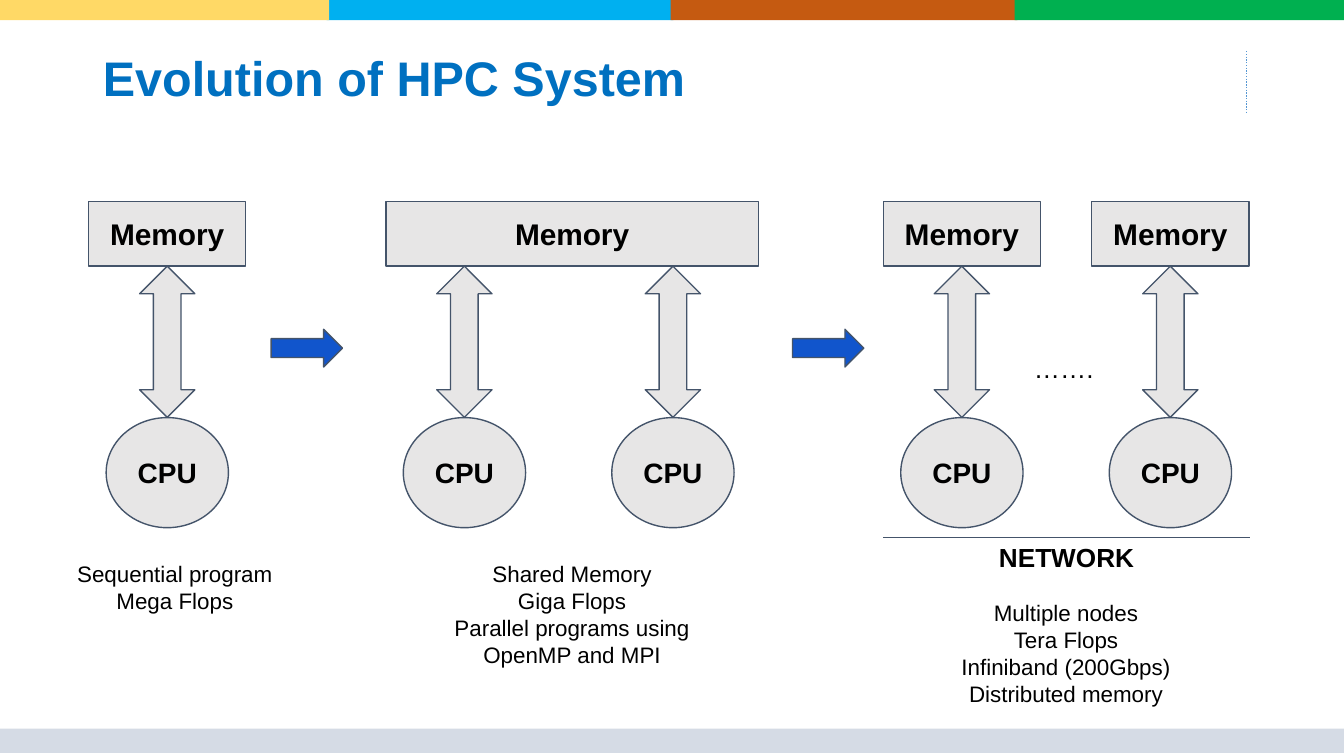
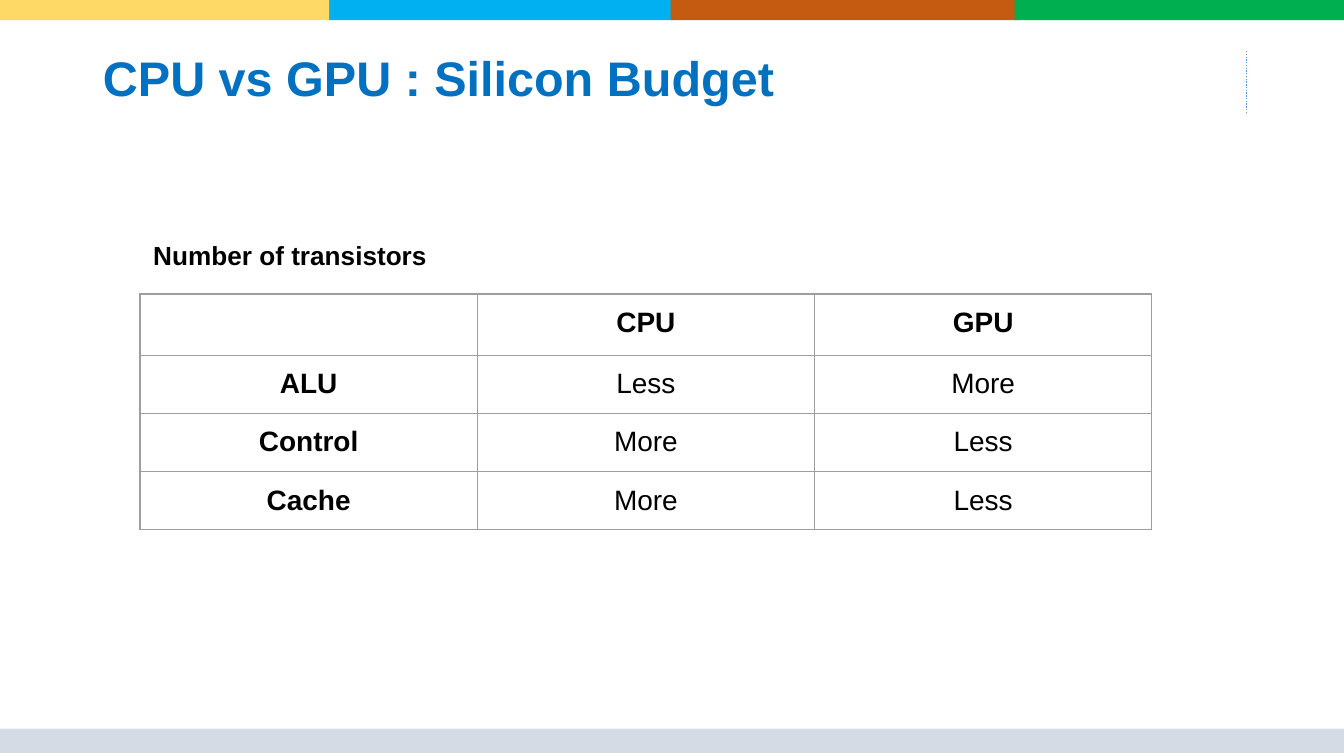
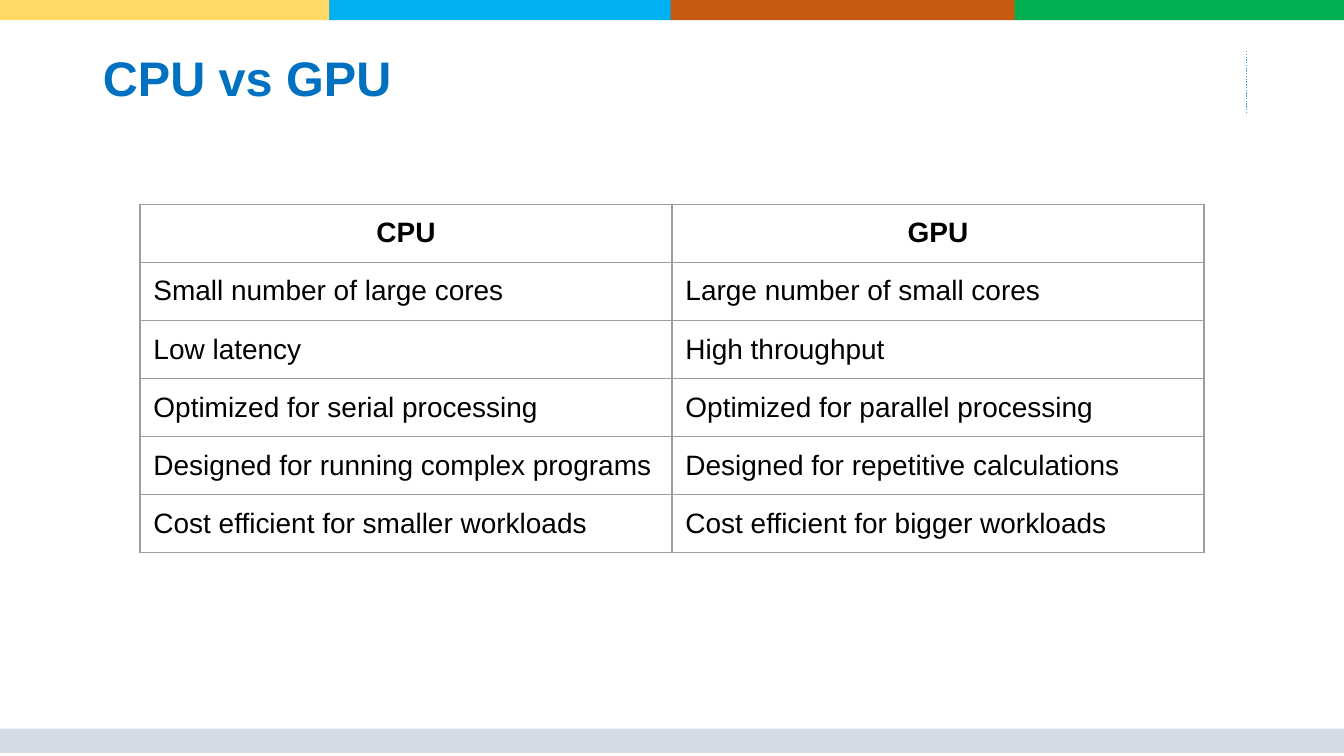
from lxml import etree
from pptx import Presentation
from pptx.dml.color import RGBColor
from pptx.enum.dml import MSO_LINE
from pptx.enum.shapes import MSO_CONNECTOR, MSO_SHAPE, PP_PLACEHOLDER
from pptx.enum.text import MSO_ANCHOR, MSO_AUTO_SIZE, PP_ALIGN
from pptx.oxml.ns import qn
from pptx.util import Pt

RECTANGLE = MSO_SHAPE.RECTANGLE
ELLIPSE = MSO_SHAPE.OVAL
UP_DOWN_ARROW = MSO_SHAPE.UP_DOWN_ARROW
RIGHT_ARROW = MSO_SHAPE.RIGHT_ARROW
STRAIGHT = MSO_CONNECTOR.STRAIGHT
DOTTED = MSO_LINE.ROUND_DOT
TITLE = PP_PLACEHOLDER.TITLE
LEFT, CENTER = PP_ALIGN.LEFT, PP_ALIGN.CENTER
TOP, MIDDLE = MSO_ANCHOR.TOP, MSO_ANCHOR.MIDDLE
NO_AUTOFIT = MSO_AUTO_SIZE.NONE
GROW_TO_TEXT = MSO_AUTO_SIZE.SHAPE_TO_FIT_TEXT

FONT = "Arial"
BLACK = "000000"
TITLE_BLUE = "0070C0"
BOX_GREY = "E7E6E6"
OUTLINE = "44546A"
STEP_BLUE = "1155CC"
FOOTER_GREY = "D5DBE5"
DIVIDER_BLUE = "5597D3"
TABLE_GREY = "9E9E9E"

LINE_WIDTH = 0.75
INSET = 7.2

# left, width, colour
TOP_BANDS = [
    (175, 185.8, "00B0F0"),
    (359.3, 185.8, "C55A11"),
    (543.6, 176.4, "00B050"),
    (0, 176.4, "FFD966"),
]

MEMORY_TOP, MEMORY_WIDTH, MEMORY_HEIGHT = 108, 84.2, 34.6
BUS_TOP, BUS_WIDTH, BUS_HEIGHT = 142.6, 29.6, 81
CPU_TOP, CPU_WIDTH, CPU_HEIGHT = 223.7, 65.5, 59
PAIR_GAP = 111.7
SEQUENTIAL_CENTER, SHARED_CENTER, CLUSTER_CENTER = 89.6, 248.8, 515.3


def color(hex_string):
    return RGBColor.from_string(hex_string)


def format_text(text_frame, size, bold=False, font_color=BLACK, align=LEFT):
    for paragraph in text_frame.paragraphs:
        paragraph.alignment = align
        for run in paragraph.runs:
            run.font.name = FONT
            run.font.size = Pt(size)
            run.font.bold = bold
            run.font.color.rgb = color(font_color)


def set_frame(text_frame, anchor, horizontal=INSET, vertical=INSET):
    """Set the anchor and the insets of a text frame."""
    text_frame.vertical_anchor = anchor
    text_frame.margin_left = text_frame.margin_right = Pt(horizontal)
    text_frame.margin_top = text_frame.margin_bottom = Pt(vertical)


def add_shape(slide, kind, left, top, width, height, fill, outline=None):
    shape = slide.shapes.add_shape(kind, Pt(left), Pt(top), Pt(width), Pt(height))
    shape.shadow.inherit = False
    shape.fill.solid()
    shape.fill.fore_color.rgb = color(fill)
    if outline:
        shape.line.color.rgb = color(outline)
        shape.line.width = Pt(LINE_WIDTH)
    else:
        shape.line.fill.background()
    return shape


def add_labelled_shape(slide, kind, left, top, width, height, label, size):
    shape = add_shape(slide, kind, left, top, width, height, BOX_GREY, OUTLINE)
    text_frame = shape.text_frame
    text_frame.text = label
    text_frame.word_wrap = False
    set_frame(text_frame, MIDDLE)
    format_text(text_frame, size, bold=True, align=CENTER)


def add_line(slide, start_x, start_y, end_x, end_y, line_color):
    line = slide.shapes.add_connector(
        STRAIGHT, Pt(start_x), Pt(start_y), Pt(end_x), Pt(end_y))
    line.line.color.rgb = color(line_color)
    line.line.width = Pt(LINE_WIDTH)
    etree.SubElement(line.element.spPr, qn("a:effectLst"))
    return line


def add_text(slide, left, top, width, height, text, size, bold=False, align=LEFT):
    text_box = slide.shapes.add_textbox(Pt(left), Pt(top), Pt(width), Pt(height))
    text_frame = text_box.text_frame
    text_frame.text = text
    text_frame.word_wrap = True
    text_frame.auto_size = GROW_TO_TEXT
    set_frame(text_frame, TOP)
    format_text(text_frame, size, bold, align=align)


def set_cell_borders(cell):
    properties = cell._tc.get_or_add_tcPr()
    for side in ("a:lnL", "a:lnR", "a:lnT", "a:lnB"):
        border = etree.SubElement(properties, qn(side), w=str(Pt(LINE_WIDTH)))
        fill = etree.SubElement(border, qn("a:solidFill"))
        etree.SubElement(fill, qn("a:srgbClr"), val=TABLE_GREY)


def add_table(slide, left, top, column_width, rows, bold_first_column, body_align):
    row_height, size = 30.2, 15
    row_count, column_count = len(rows), len(rows[0])
    table = slide.shapes.add_table(
        row_count, column_count, Pt(left), Pt(top),
        Pt(column_width * column_count), Pt(row_height * row_count)).table
    table.first_row = table.horz_banding = False
    for row_index, row in enumerate(rows):
        for column_index, text in enumerate(row):
            cell = table.cell(row_index, column_index)
            cell.text = text
            cell.margin_left = cell.margin_right = Pt(INSET)
            cell.margin_top = cell.margin_bottom = Pt(INSET)
            header = row_index == 0
            bold = header or (bold_first_column and column_index == 0)
            format_text(cell.text_frame, size, bold,
                        align=CENTER if header else body_align)
            if not text:
                # An empty cell keeps the row height through its end mark.
                paragraph = cell.text_frame.paragraphs[0]
                etree.SubElement(paragraph._p, qn("a:endParaRPr"), sz=str(size * 100))
            set_cell_borders(cell)
            cell.fill.background()


def add_titled_slide(presentation, layout, title_text):
    slide = presentation.slides.add_slide(layout)
    title = slide.shapes.title
    title.left, title.top = Pt(49.7), Pt(25.2)
    title.width, title.height = Pt(607.7), Pt(36)
    text_frame = title.text_frame
    text_frame.text = title_text
    text_frame.auto_size = NO_AUTOFIT
    set_frame(text_frame, MIDDLE, 5.4, 2.7)
    text_frame.paragraphs[0].line_spacing = 0.9
    format_text(text_frame, 26, True, TITLE_BLUE)
    return slide


def prepare_layout(layout):
    """Keep only the title placeholder."""
    for placeholder in list(layout.placeholders):
        if placeholder.placeholder_format.type != TITLE:
            placeholder.element.getparent().remove(placeholder.element)


def add_shared_parts(slide, layout):
    """Draw the bands and divider, then move them behind the layout's title."""
    parts = [add_shape(slide, RECTANGLE, left, -1.4, width, 12.2, fill)
             for left, width, fill in TOP_BANDS]
    parts.append(add_shape(slide, RECTANGLE, 0, 390.4, 720, 13, FOOTER_GREY))
    divider = add_line(slide, 667.7, 27.4, 667.7, 60.8, DIVIDER_BLUE)
    divider.line.dash_style = DOTTED
    parts.append(divider)
    for position, part in enumerate(parts, start=2):
        layout.shapes.element.insert(position, part.element)


def add_memory(slide, center, width=MEMORY_WIDTH):
    add_labelled_shape(slide, RECTANGLE, center - width / 2, MEMORY_TOP,
                       width, MEMORY_HEIGHT, "Memory", 16)


def add_cpu(slide, center):
    """Add a CPU and the two-way arrow that ties it to the memory above."""
    add_labelled_shape(slide, ELLIPSE, center - CPU_WIDTH / 2, CPU_TOP,
                       CPU_WIDTH, CPU_HEIGHT, "CPU", 15)
    add_shape(slide, UP_DOWN_ARROW, center - BUS_WIDTH / 2, BUS_TOP,
              BUS_WIDTH, BUS_HEIGHT, BOX_GREY, OUTLINE)


def add_evolution(slide):
    add_memory(slide, SEQUENTIAL_CENTER)
    add_memory(slide, 306.5, 199.6)
    for center in (CLUSTER_CENTER, CLUSTER_CENTER + PAIR_GAP):
        add_memory(slide, center)

    add_cpu(slide, SEQUENTIAL_CENTER)
    for first_center in (SHARED_CENTER, CLUSTER_CENTER):
        add_cpu(slide, first_center)
        add_cpu(slide, first_center + PAIR_GAP)

    for left in (145.3, 424.6):
        add_shape(slide, RIGHT_ARROW, left, 176.4, 38.2, 20.2, STEP_BLUE, OUTLINE)

    captions = [
        (4.4, 293, 43.9, ["Sequential program", "Mega Flops"]),
        (217.2, 293, 72.7, ["Shared Memory", "Giga Flops",
                            "Parallel programs using OpenMP and MPI"]),
        (481.8, 314, 72.7, ["Multiple nodes", "Tera Flops",
                            "Infiniband (200Gbps)", "Distributed memory"]),
    ]
    for left, top, height, lines in captions:
        add_text(slide, left, top, 178.6, height, "\n".join(lines), 12, align=CENTER)

    add_text(slide, 546.8, 181.4, 49, 31.7, "…….", 14)
    add_line(slide, 473.2, 288, 669.6, 288, OUTLINE)
    add_text(slide, 485.7, 283, 171.4, 31.7, "NETWORK", 14, True, CENTER)


def main():
    presentation = Presentation()
    presentation.slide_width, presentation.slide_height = Pt(720), Pt(405)
    layout = presentation.slide_layouts[5]
    prepare_layout(layout)

    evolution = add_titled_slide(presentation, layout, "Evolution of HPC System")
    add_shared_parts(evolution, layout)
    add_evolution(evolution)

    budget = add_titled_slide(presentation, layout, "CPU vs GPU : Silicon Budget")
    add_table(budget, 75, 157.5, 180.7, [
        ["", "CPU", "GPU"],
        ["ALU", "Less", "More"],
        ["Control", "More", "Less"],
        ["Cache", "More", "Less"],
    ], bold_first_column=True, body_align=CENTER)
    add_text(budget, 75, 121, 618.5, 31.7, "Number of transistors", 14, True)

    comparison = add_titled_slide(presentation, layout, "CPU vs GPU")
    add_table(comparison, 75, 109.4, 285, [
        ["CPU", "GPU"],
        ["Small number of large cores", "Large number of small cores"],
        ["Low latency", "High throughput"],
        ["Optimized for serial processing", "Optimized for parallel processing"],
        ["Designed for running complex programs",
         "Designed for repetitive calculations"],
        ["Cost efficient for smaller workloads",
         "Cost efficient for bigger workloads"],
    ], bold_first_column=False, body_align=LEFT)

    presentation.save("out.pptx")


if __name__ == "__main__":
    main()
